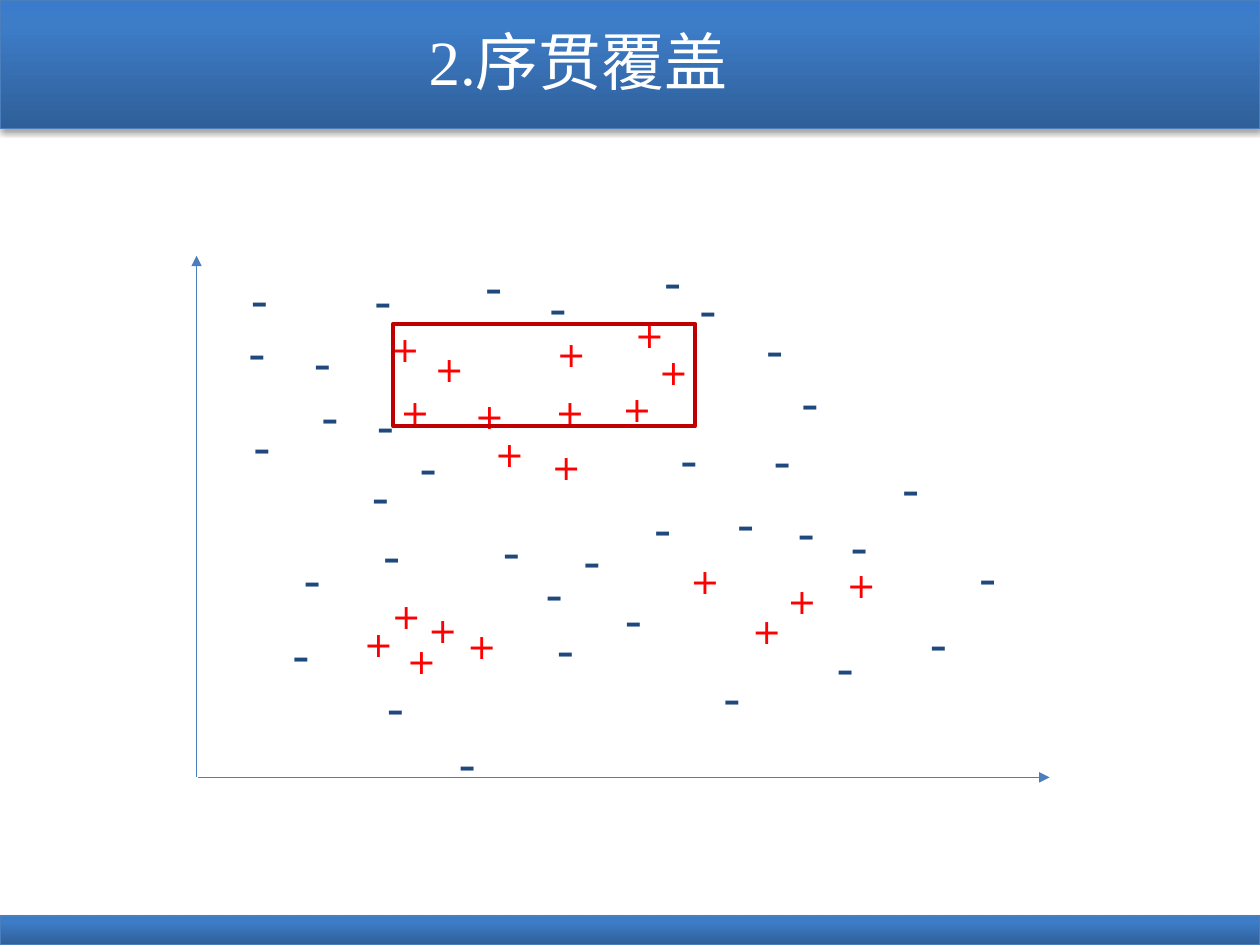
from lxml import etree
from pptx import Presentation
from pptx.dml.color import RGBColor
from pptx.enum.shapes import MSO_CONNECTOR, MSO_SHAPE
from pptx.enum.text import MSO_ANCHOR, MSO_AUTO_SIZE, PP_ALIGN
from pptx.oxml import parse_xml
from pptx.oxml.ns import nsdecls, qn
from pptx.util import Inches, Pt

RECTANGLE = MSO_SHAPE.RECTANGLE
STRAIGHT = MSO_CONNECTOR.STRAIGHT
MIDDLE = MSO_ANCHOR.MIDDLE
CENTER = PP_ALIGN.CENTER
GROW = MSO_AUTO_SIZE.SHAPE_TO_FIT_TEXT

COLORS = {
    "band_dark": "2F5F99",
    "band_mid": "3D7CC7",
    "band_light": "3A7CCB",
    "line": "4B7EBC",
    "title": "FFFFFF",
    "positive": "FF0000",
    "negative": "1F497D",
    "rule": "C00000",
    "shadow": "000000",
}

MARK_STYLES = {
    "+": {"height": 0.44, "size": 20, "color": "positive"},
    "-": {"height": 0.57, "size": 28, "color": "negative"},
}

POSITIVE_CLUSTERS = [
    [(2.79, 4.89), (3.61, 4.91), (3.3, 4.78), (3.13, 5.03), (3.01, 4.67)],
    [(6.62, 4.42), (5.38, 4.39), (5.87, 4.79), (6.15, 4.55)],
    [(4.32, 2.59), (5.13, 2.73), (3, 2.55), (3.35, 2.71), (3.67, 3.08), (3.08, 3.05),
     (3.83, 3.38), (4.31, 3.05), (4.28, 3.49), (4.84, 3.03), (4.94, 2.44)],
]

LONE_NEGATIVE = (3.54, 5.77)

NEGATIVES = [
    (1.89, 2.09), (1.87, 2.51), (2.45, 3.02), (2.39, 2.59), (6.26, 2.91), (1.91, 3.26),
    (2.89, 3.09), (2.85, 3.65), (3.23, 3.42), (2.31, 4.31), (2.94, 4.12), (2.22, 4.91),
    (3.89, 4.09), (4.53, 4.16), (4.23, 4.42), (5.3, 3.36), (4.32, 4.87), (5.75, 3.87),
    (4.86, 4.63), (7.06, 3.59), (6.04, 3.37), (5.09, 3.91), (6.65, 4.05), (5.64, 5.25),
    (6.54, 5.01), (2.97, 5.33), (5.98, 2.49), (6.23, 3.94), (3.75, 1.99), (4.26, 2.15),
    (2.87, 2.1), (5.17, 1.95), (5.45, 2.17), (7.67, 4.3), (7.28, 4.82),
]


def color(name):
    return RGBColor.from_string(COLORS[name])


def add_band(page, top, height):
    band = page.shapes.add_shape(RECTANGLE, 0, Inches(top), Inches(10), Inches(height))
    band.line.color.rgb = color("line")
    band.line.width = Pt(0.75)
    stops = "".join(
        f'<a:gs pos="{position * 1000}"><a:srgbClr val="{COLORS[name]}"/></a:gs>'
        for position, name in ((0, "band_dark"), (80, "band_mid"), (100, "band_light"))
    )
    gradient = parse_xml(
        f'<a:gradFill {nsdecls("a")} rotWithShape="1"><a:gsLst>{stops}</a:gsLst>'
        '<a:lin ang="16200000" scaled="0"/></a:gradFill>'
    )
    shadow = parse_xml(
        f'<a:effectLst {nsdecls("a")}><a:outerShdw blurRad="{Pt(3.1)}" dist="{Pt(1.8)}" '
        f'dir="5400000" rotWithShape="0"><a:srgbClr val="{COLORS["shadow"]}">'
        '<a:alpha val="35000"/></a:srgbClr></a:outerShdw></a:effectLst>'
    )
    properties = band._element.spPr
    properties.find(qn("a:prstGeom")).addnext(gradient)
    properties.append(shadow)
    page.shapes.title._element.addprevious(band._element)


def format_title(page, text):
    title = page.shapes.title
    title.left, title.top = Inches(0.28), Inches(0.05)
    title.width, title.height = Inches(8.62), Inches(0.85)
    title.text_frame.vertical_anchor = MIDDLE
    title.text_frame.text = text
    para = title.text_frame.paragraphs[0]
    para.alignment = CENTER
    para.font.name = "Times New Roman"
    para.font.size = Pt(36)
    para.font.color.rgb = color("title")


def add_axis(shapes, start, end):
    axis = shapes.add_connector(STRAIGHT, *map(Inches, start + end))
    axis.line.color.rgb = color("line")
    axis.line.width = Pt(0.75)
    etree.SubElement(axis.line._get_or_add_ln(), qn("a:tailEnd"), type="triangle")
    etree.SubElement(axis._element.spPr, qn("a:effectLst"))


def add_mark(shapes, sign, left, top):
    style = MARK_STYLES[sign]
    box = shapes.add_textbox(Inches(left), Inches(top), Inches(0.39), Inches(style["height"]))
    box.text_frame.word_wrap = True
    box.text_frame.auto_size = GROW
    para = box.text_frame.paragraphs[0]
    para.text = sign
    para.font.name = "DejaVu Sans"
    para.font.size = Pt(style["size"])
    para.font.color.rgb = color(style["color"])


def add_cluster(page, sign, positions):
    cluster = page.shapes.add_group_shape()
    for left, top in positions:
        add_mark(cluster.shapes, sign, left, top)


def add_rule_box(page):
    box = page.shapes.add_shape(RECTANGLE, Inches(3.12), Inches(2.57), Inches(2.4), Inches(0.81))
    box.shadow.inherit = False
    box.fill.background()
    box.line.color.rgb = color("rule")
    box.line.width = Pt(2.25)


def main():
    deck = Presentation()
    deck.slide_width, deck.slide_height = Inches(10), Inches(7.5)
    page = deck.slides.add_slide(deck.slide_layouts[5])
    add_band(page, 0, 1.02)
    add_band(page, 7.27, 0.23)
    format_title(page, "2.序贯覆盖")
    axes = page.shapes.add_group_shape()
    add_axis(axes.shapes, (1.56, 6.17), (1.56, 2.03))
    add_axis(axes.shapes, (1.57, 6.17), (8.33, 6.17))
    for positions in POSITIVE_CLUSTERS:
        add_cluster(page, "+", positions)
    add_mark(page.shapes, "-", *LONE_NEGATIVE)
    add_cluster(page, "-", NEGATIVES)
    add_rule_box(page)
    deck.save("out.pptx")


if __name__ == "__main__":
    main()
